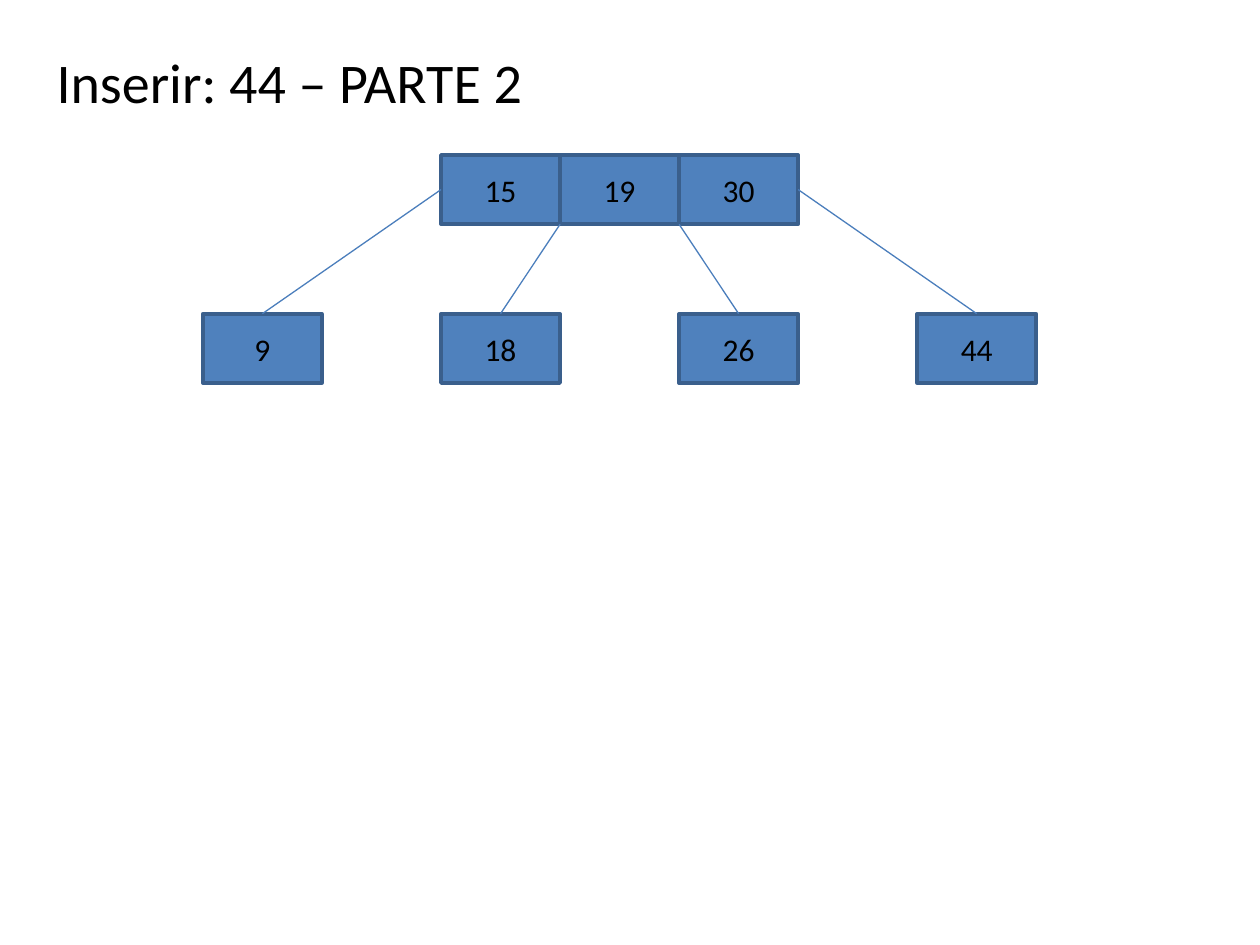
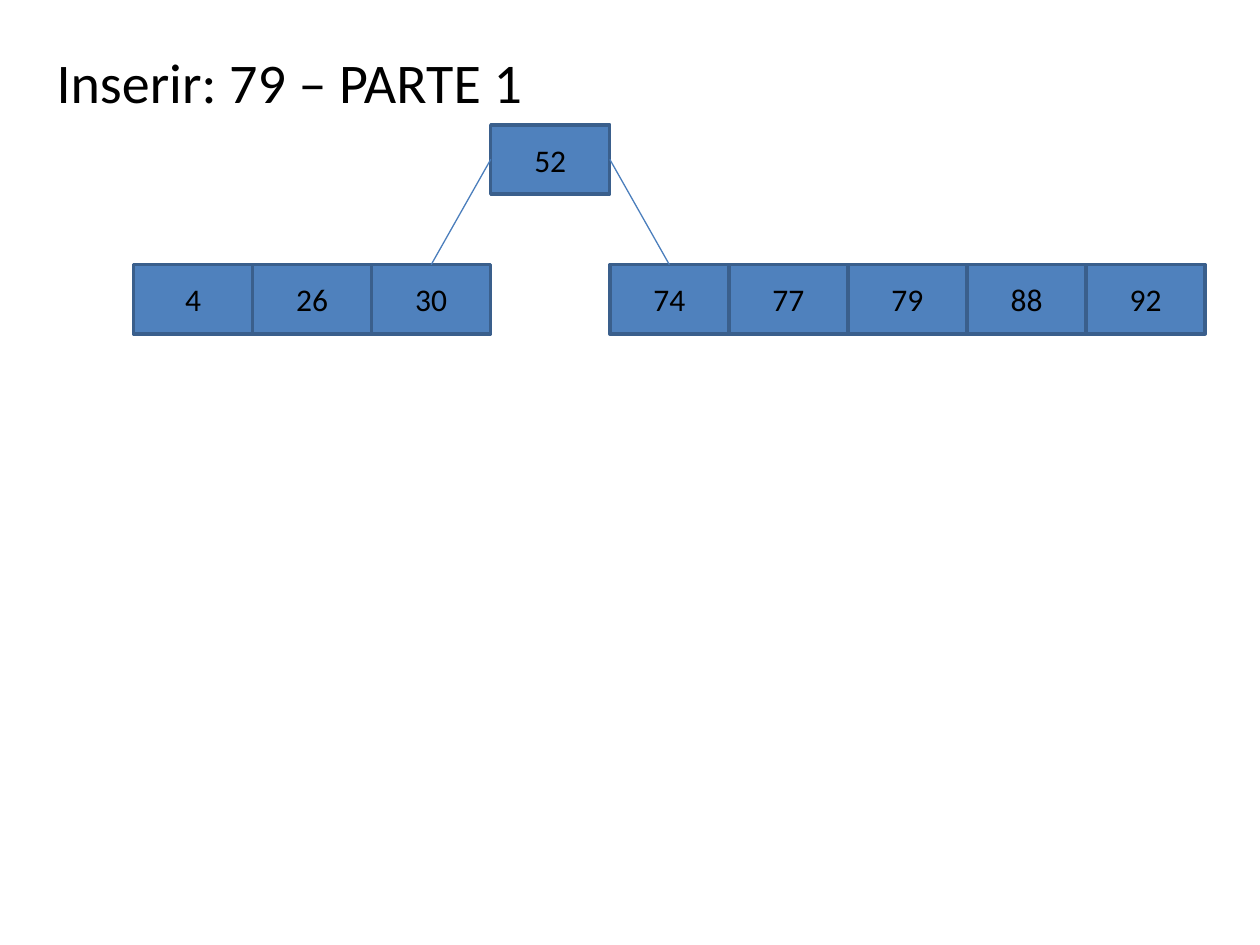
"""Build two slides that show insertions into a B-tree."""
from pptx import Presentation
from pptx import util as u
from pptx.dml.color import RGBColor
from pptx.enum import shapes, text
from pptx.oxml.ns import qn
from lxml import etree

COLORS = {"cell": "4F81BD", "border": "3A5F8C", "edge": "4B7EBC", "text": "000000"}
FONT = "Calibri"
CELL_WIDTH = 1.89 / 2
CELL_HEIGHT = 0.55

TREES = [
    {
        "title": "Inserir: 44 – PARTE 2",
        "left": 1.61, "root_top": 1.23, "leaf_top": 2.49,
        "root": (2, [15, 19, 30]),
        "leaves": [(0, [9]), (2, [18]), (4, [26]), (6, [44])],
        "edges": [(2, 0.5, 0.5), (3, 1, 2.5), (4, 1, 4.5), (5, 0.5, 6.5)],
    },
    {
        "title": "Inserir: 79 – PARTE 1",
        "left": 1.06, "root_top": 0.99, "leaf_top": 2.1,
        "root": (3, [52]),
        "leaves": [(0, [4, 26, 30]), (4, [74, 77, 79, 88, 92])],
        "edges": [(3, 0.5, 2.5), (4, 0.5, 4.5)],
    },
]


def color(name):
    """Return the named palette colour."""
    return RGBColor.from_string(COLORS[name])


def write(shape, content, size, alignment):
    """Put one vertically centred paragraph into a shape."""
    frame = shape.text_frame
    frame.word_wrap = True
    frame.vertical_anchor = text.MSO_ANCHOR.MIDDLE
    paragraph = frame.paragraphs[0]
    paragraph.text = content
    paragraph.alignment = alignment
    paragraph.font.name = FONT
    paragraph.font.size = u.Pt(size)
    paragraph.font.color.rgb = color("text")


def add_title(slide, content):
    """Add the slide heading."""
    box = slide.shapes.add_textbox(
        u.Inches(0.35), u.Inches(0.29), u.Inches(6.61), u.Inches(0.71))
    write(box, content, 32, text.PP_ALIGN.LEFT)


def add_node(slide, left, top, keys):
    """Add a tree node as a row of adjoining key cells."""
    for index, key in enumerate(keys):
        cell = slide.shapes.add_shape(
            shapes.MSO_SHAPE.RECTANGLE,
            u.Inches(left + index * CELL_WIDTH), u.Inches(top),
            u.Inches(CELL_WIDTH), u.Inches(CELL_HEIGHT))
        cell.shadow.inherit = False
        cell.fill.solid()
        cell.fill.fore_color.rgb = color("cell")
        cell.line.color.rgb = color("border")
        cell.line.width = u.Pt(2)
        write(cell, str(key), 18, text.PP_ALIGN.CENTER)


def add_edge(slide, start, end):
    """Add a thin line from a parent node to a child node."""
    points = [u.Inches(value) for value in (*start, *end)]
    edge = slide.shapes.add_connector(shapes.MSO_CONNECTOR.STRAIGHT, *points)
    edge.line.color.rgb = color("edge")
    edge.line.width = u.Pt(0.75)
    etree.SubElement(edge._element.spPr, qn("a:effectLst"))


def add_tree(slide, tree):
    """Draw a two-level tree on a grid of cell columns."""
    def column_left(column):
        """Return the left edge of a grid column."""
        return tree["left"] + column * CELL_WIDTH

    root_column, root_keys = tree["root"]
    add_node(slide, column_left(root_column), tree["root_top"], root_keys)
    for column, keys in tree["leaves"]:
        add_node(slide, column_left(column), tree["leaf_top"], keys)
    for parent_column, depth, child_column in tree["edges"]:
        start = column_left(parent_column), tree["root_top"] + depth * CELL_HEIGHT
        add_edge(slide, start, (column_left(child_column), tree["leaf_top"]))


def main():
    """Build and save the presentation."""
    presentation = Presentation()
    presentation.slide_width = u.Inches(10)
    presentation.slide_height = u.Inches(7.5)
    for tree in TREES:
        slide = presentation.slides.add_slide(presentation.slide_layouts[6])
        add_title(slide, tree["title"])
        add_tree(slide, tree)
    presentation.save("out.pptx")


main()
